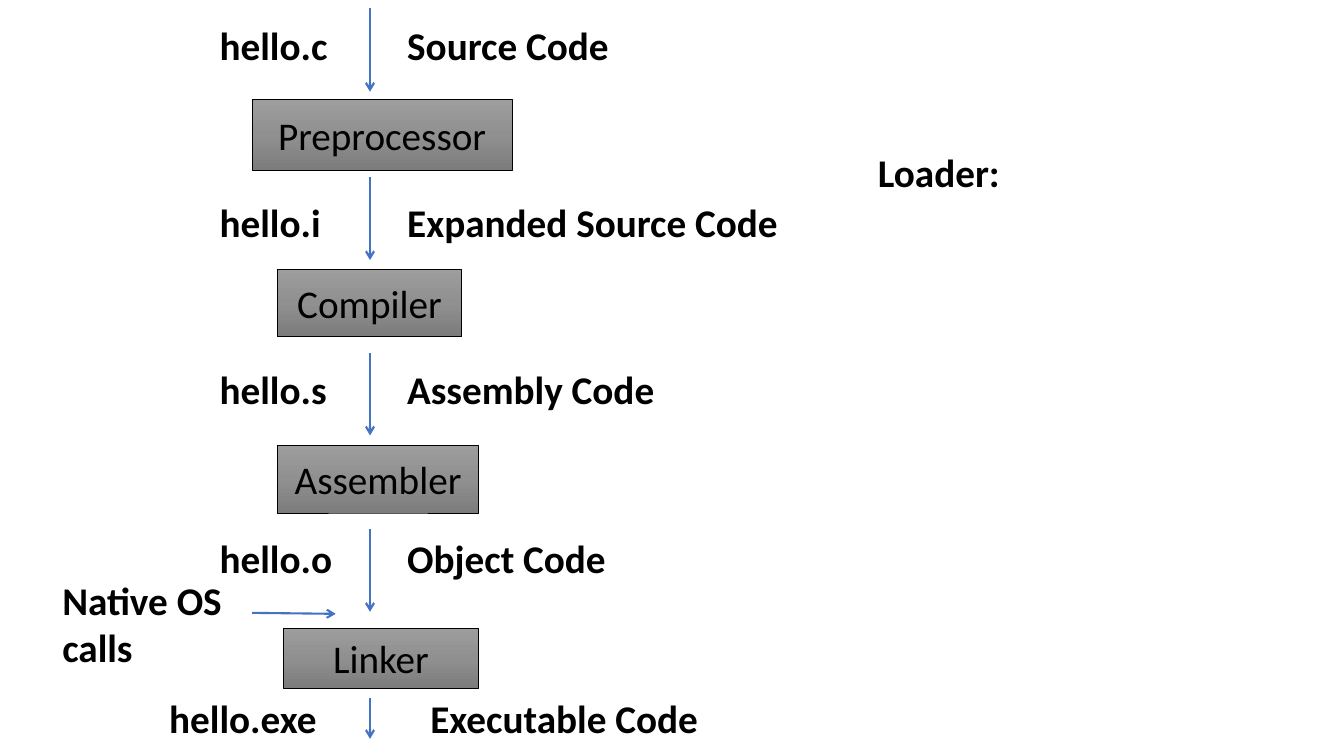
from copy import deepcopy

from lxml import etree
from pptx import Presentation
from pptx.dml.color import RGBColor
from pptx.enum.shapes import MSO_CONNECTOR, MSO_SHAPE
from pptx.enum.text import MSO_ANCHOR, MSO_AUTO_SIZE, PP_ALIGN
from pptx.oxml.ns import qn
from pptx.util import Inches, Pt

RECTANGLE, STRAIGHT = MSO_SHAPE.RECTANGLE, MSO_CONNECTOR.STRAIGHT
LEFT, CENTER = PP_ALIGN.LEFT, PP_ALIGN.CENTER
TOP, MIDDLE = MSO_ANCHOR.TOP, MSO_ANCHOR.MIDDLE
FIT = MSO_AUTO_SIZE.SHAPE_TO_FIT_TEXT

# Content: file name (left, width), form of the code (left, width), top of both
FILES = [
    ("hello.c", 2.08, 1.28, "Source Code", 3.94, 3.42, 0.16),
    ("hello.i", 2.08, 1.22, "Expanded Source Code", 3.94, 3.92, 1.92),
    ("hello.s", 2.08, 1.27, "Assembly Code", 3.94, 2.68, 3.58),
    ("hello.o", 2.08, 1.33, "Object Code", 3.94, 2.19, 5.25),
    ("hello.exe", 1.58, 1.68, "Executable Code", 4.17, 2.89, 6.84),
]
# Tool: left, top, width, height
TOOLS = [
    ("Preprocessor", 2.5, 0.99, 2.58, 0.7),
    ("Compiler", 2.75, 2.67, 1.83, 0.67),
    ("Assembler", 2.75, 4.42, 2, 0.67),
    ("Linker", 2.81, 6.23, 1.94, 0.6),
]
# Top and length of the arrows down the flow
FLOW_X = 3.67
FLOW = [(0.08, 0.83), (1.76, 0.82), (3.5, 0.82), (5.25, 0.82), (6.92, 0.41)]
OS_CALLS = "Native OS\ncalls"
LOADER = "Loader:"

COLORS = {"text": "000000", "edge": "000000", "arrow": "4472C4"}
GRADIENT = [(0, "9D9D9D"), (0.5, "909090"), (1, "7C7C7C")]
LABEL_HEIGHT = 0.57

prs = Presentation()
prs.slide_width, prs.slide_height = Inches(13.33), Inches(7.5)
slide = prs.slides.add_slide(prs.slide_layouts[6])


def write(holder, text, bold=True, align=LEFT, anchor=TOP, wrap=True, spacing=None):
    frame = holder.text_frame
    frame.text = text
    frame.word_wrap = wrap
    frame.vertical_anchor = anchor
    for paragraph in frame.paragraphs:
        paragraph.alignment = align
        paragraph.line_spacing = spacing
        for run in paragraph.runs:
            run.font.name, run.font.size, run.font.bold = "Calibri", Pt(28), bold
            run.font.color.rgb = RGBColor.from_string(COLORS["text"])


def add_label(text, left, top, width, height=LABEL_HEIGHT, **style):
    label = slide.shapes.add_textbox(*map(Inches, (left, top, width, height)))
    write(label, text, **style)
    label.text_frame.auto_size = FIT


def add_tool(name, *place):
    tool = slide.shapes.add_shape(RECTANGLE, *map(Inches, place))
    tool.shadow.inherit = False
    tool.fill.gradient()
    tool.fill.gradient_angle = 270
    stop_list = tool._element.spPr.find(".//" + qn("a:gsLst"))
    stop_list.append(deepcopy(stop_list[-1]))
    for stop, (position, color) in zip(tool.fill.gradient_stops, GRADIENT):
        stop.position = position
        stop.color.rgb = RGBColor.from_string(color)
    tool.line.color.rgb = RGBColor.from_string(COLORS["edge"])
    tool.line.width = Pt(0.5)
    write(tool, name, bold=False, align=CENTER, anchor=MIDDLE)


def add_arrow(*ends):
    arrow = slide.shapes.add_connector(STRAIGHT, *map(Inches, ends))
    arrow.line.color.rgb = RGBColor.from_string(COLORS["arrow"])
    arrow.line.width = Pt(1.5)
    etree.SubElement(arrow.line._get_or_add_ln(), qn("a:tailEnd"), type="arrow")
    etree.SubElement(arrow._element.spPr, qn("a:effectLst"))


# Flow from source to executable
for name, *place in TOOLS:
    add_tool(name, *place)
for top, length in FLOW:
    add_arrow(FLOW_X, top, FLOW_X, top + length)
for file, file_left, file_width, form, form_left, form_width, top in FILES:
    add_label(file, file_left, top, file_width, wrap=False)
    add_label(form, form_left, top, form_width, wrap=form == "Source Code")

# Side input to the linker, and the loader
add_label(OS_CALLS, 0.52, 5.67, 1.9, 1.04, wrap=False)
add_arrow(2.5, 6.08, 3.33, 6.09)
add_label(LOADER, 8.61, 1.19, 1.43, 0.73, wrap=False, spacing=1.5)

prs.save("out.pptx")
